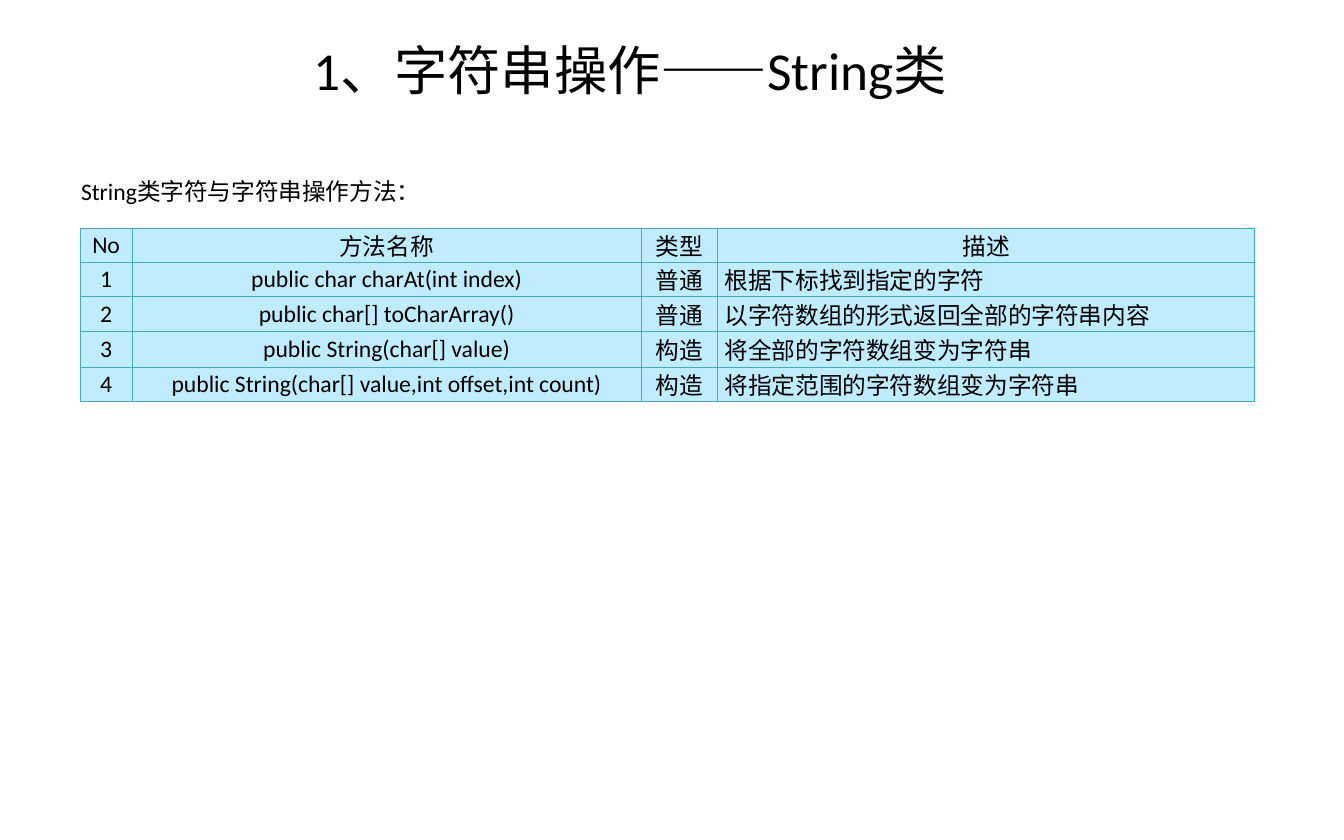
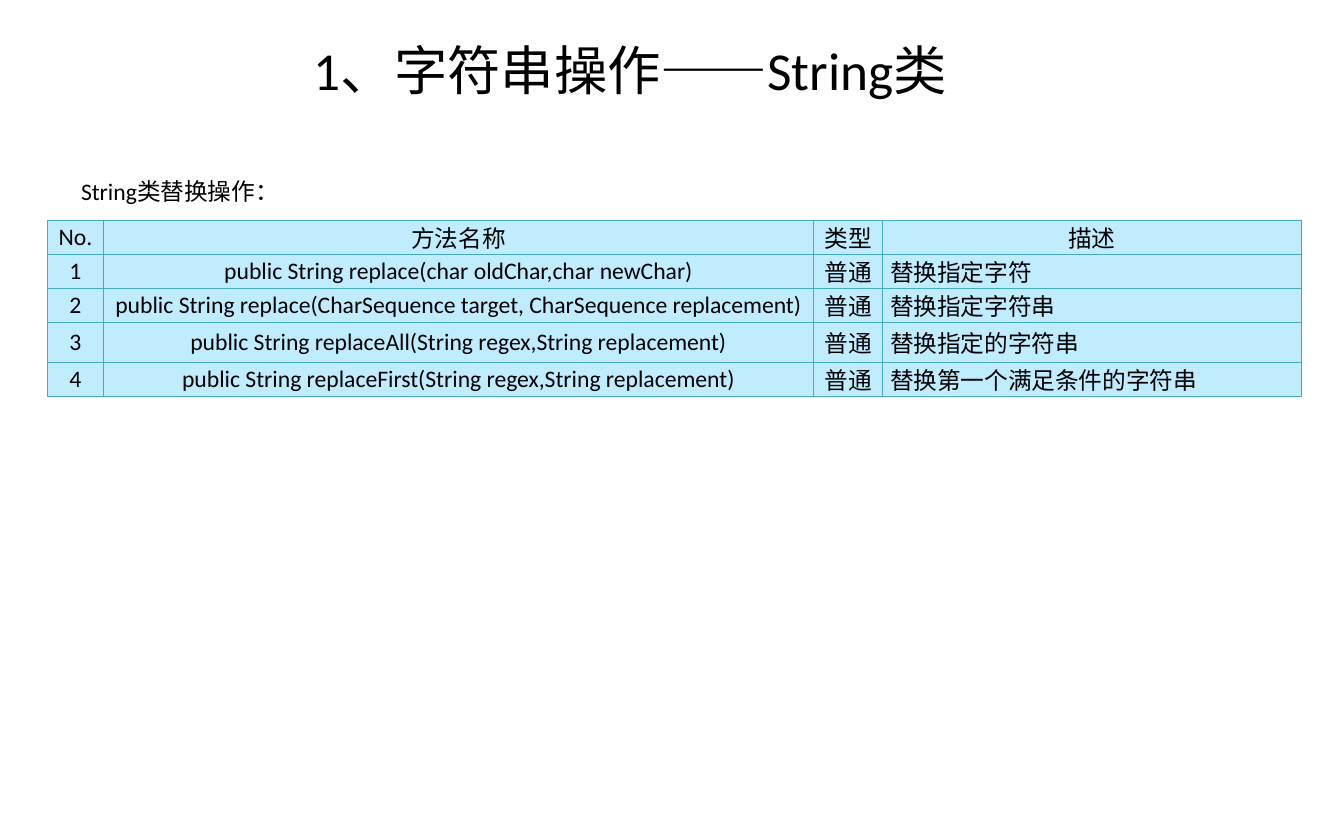
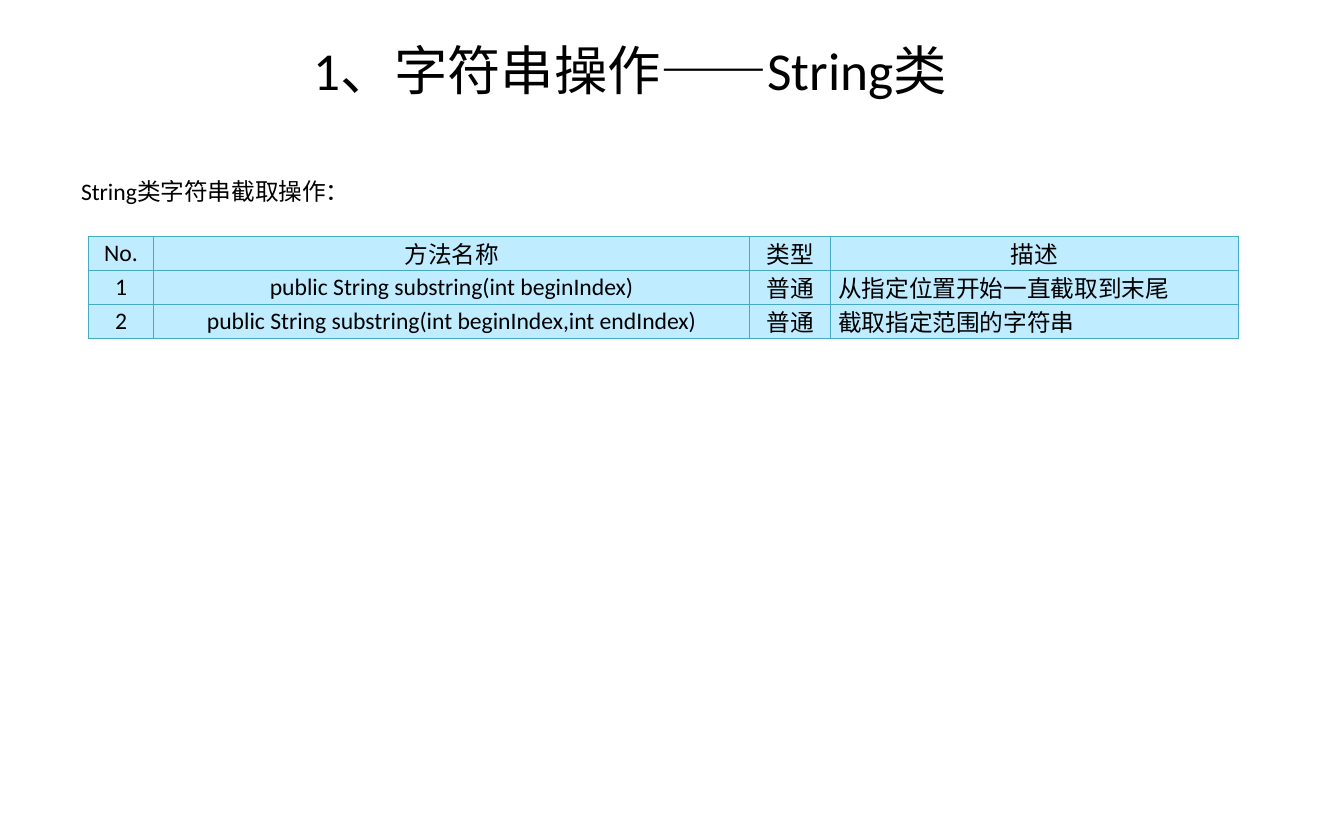
from lxml import etree
from pptx import Presentation
from pptx import util as u
from pptx.dml.color import RGBColor
from pptx.enum import text
from pptx.oxml import ns

# Shared style: 200 px to the inch
PX = 4572
FONT = "Calibri"
COLORS = {"text": "000000", "cell": "C0ECFF", "border": "46AAC5"}
TITLE = "1、字符串操作——String类"
HEADINGS = ("方法名称", "类型", "描述")
CENTER, JUSTIFY = text.PP_ALIGN.CENTER, text.PP_ALIGN.JUSTIFY
MIDDLE, TOP = text.MSO_ANCHOR.MIDDLE, text.MSO_ANCHOR.TOP

# Slide contents; each method row is: signature, type, description
SLIDES = [
    {
        "subtitle": "String类字符与字符串操作方法：",
        "number_heading": "No",
        "origin": (150, 428),
        "columns": (98, 954, 143, 1008),
        "rows": (64, 64, 66, 67, 64),
        "methods": [
            ("public char charAt(int index)", "普通", "根据下标找到指定的字符"),
            ("public char[] toCharArray()", "普通", "以字符数组的形式返回全部的字符串内容"),
            ("public String(char[] value)", "构造", "将全部的字符数组变为字符串"),
            ("public String(char[] value,int offset,int count)", "构造",
             "将指定范围的字符数组变为字符串"),
        ],
    },
    {
        "subtitle": "String类替换操作：",
        "number_heading": "No.",
        "origin": (89, 413),
        "columns": (105, 1332, 129, 785),
        "rows": (64, 64, 64, 74, 64),
        "methods": [
            ("public String replace(char oldChar,char newChar)", "普通", "替换指定字符"),
            ("public String replace(CharSequence target, CharSequence replacement)",
             "普通", "替换指定字符串"),
            ("public String replaceAll(String regex,String replacement)", "普通",
             "替换指定的字符串"),
            ("public String replaceFirst(String regex,String replacement)", "普通",
             "替换第一个满足条件的字符串"),
        ],
    },
    {
        "subtitle": "String类字符串截取操作：",
        "number_heading": "No.",
        "origin": (166, 443),
        "columns": (122, 1118, 152, 764),
        "rows": (64, 64, 64),
        "methods": [
            ("public String substring(int beginIndex)", "普通", "从指定位置开始一直截取到末尾"),
            ("public String substring(int beginIndex,int endIndex)", "普通",
             "截取指定范围的字符串"),
        ],
    },
]


def write(frame, words, size, align=None):
    """Fill the first paragraph of a text frame in the shared font."""
    paragraph = frame.paragraphs[0]
    paragraph.text = words
    paragraph.alignment = align
    paragraph.font.name = FONT
    paragraph.font.size = u.Pt(size)
    paragraph.font.bold = False
    paragraph.font.color.rgb = RGBColor.from_string(COLORS["text"])


def style_cell(cell):
    """Set margins, thin borders on all sides and the fill."""
    cell.vertical_anchor = MIDDLE
    cell.margin_left = cell.margin_right = 14 * PX
    cell.margin_top = cell.margin_bottom = 0
    properties = cell._tc.get_or_add_tcPr()
    for side in ("lnL", "lnR", "lnT", "lnB"):
        line = etree.SubElement(properties, ns.qn("a:" + side), w=str(u.Pt(0.75)))
        fill = etree.SubElement(line, ns.qn("a:solidFill"))
        etree.SubElement(fill, ns.qn("a:srgbClr"), val=COLORS["border"])
    cell.fill.solid()
    cell.fill.fore_color.rgb = RGBColor.from_string(COLORS["cell"])


presentation = Presentation()
presentation.slide_width = 2520 * PX
presentation.slide_height = 1575 * PX

for content in SLIDES:
    slide = presentation.slides.add_slide(presentation.slide_layouts[6])

    # Title and subtitle
    for words, box, size, align, anchor in (
        (TITLE, (316, 64, 1732, 132), 36, CENTER, MIDDLE),
        (content["subtitle"], (126, 318, 2268, 1062), 16, None, TOP),
    ):
        frame = slide.shapes.add_textbox(*(length * PX for length in box)).text_frame
        frame.word_wrap = True
        frame.vertical_anchor = anchor
        frame.margin_left = frame.margin_right = 26 * PX
        frame.margin_top = frame.margin_bottom = 14 * PX
        write(frame, words, size, align)

    # Method table
    left, top = content["origin"]
    columns, rows = content["columns"], content["rows"]
    table = slide.shapes.add_table(
        len(rows), len(columns), left * PX, top * PX, sum(columns) * PX, sum(rows) * PX
    ).table
    table.first_row = table.horz_banding = False
    for column, width in zip(table.columns, columns):
        column.width = width * PX
    for row, height in zip(table.rows, rows):
        row.height = height * PX

    lines = [(content["number_heading"], *HEADINGS)]
    lines += [(str(n), *method) for n, method in enumerate(content["methods"], 1)]
    for r, line in enumerate(lines):
        for c, words in enumerate(line):
            cell = table.cell(r, c)
            style_cell(cell)
            is_description = r > 0 and c == len(columns) - 1
            write(cell.text_frame, words, 16, JUSTIFY if is_description else CENTER)

presentation.save("out.pptx")
